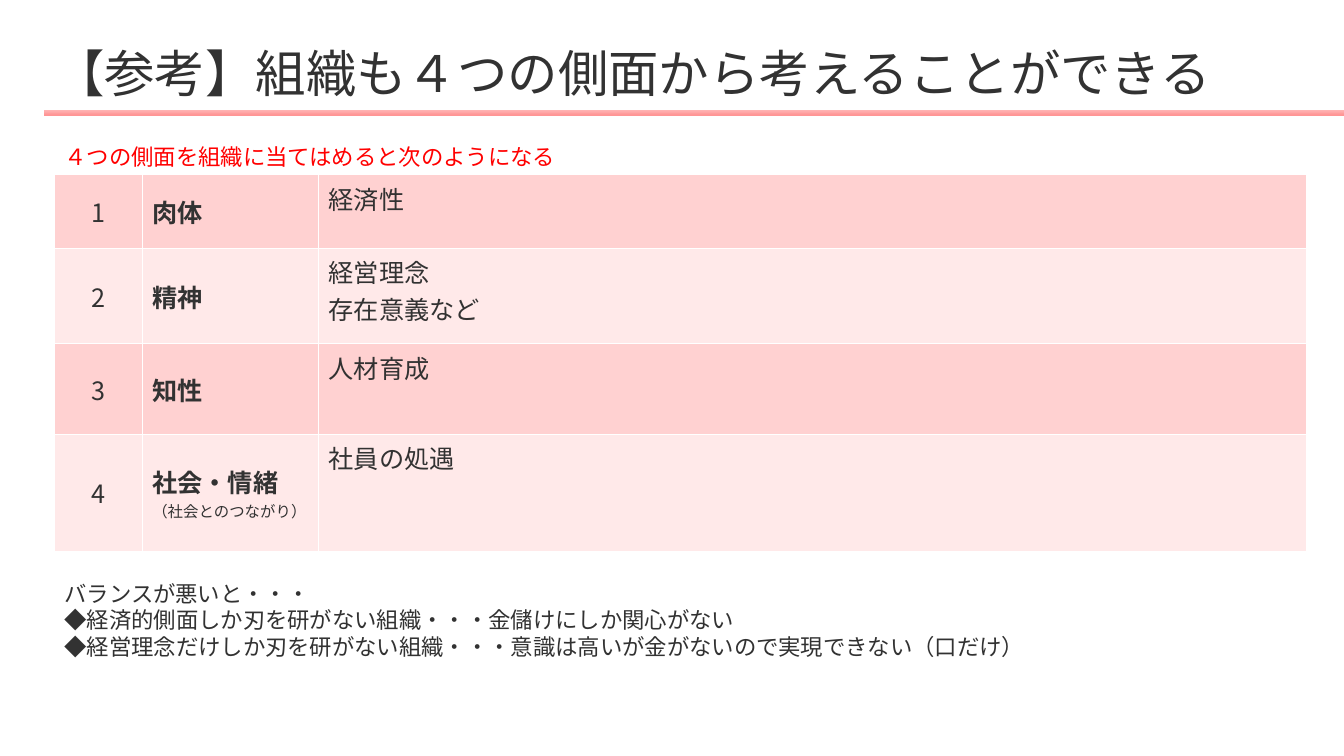
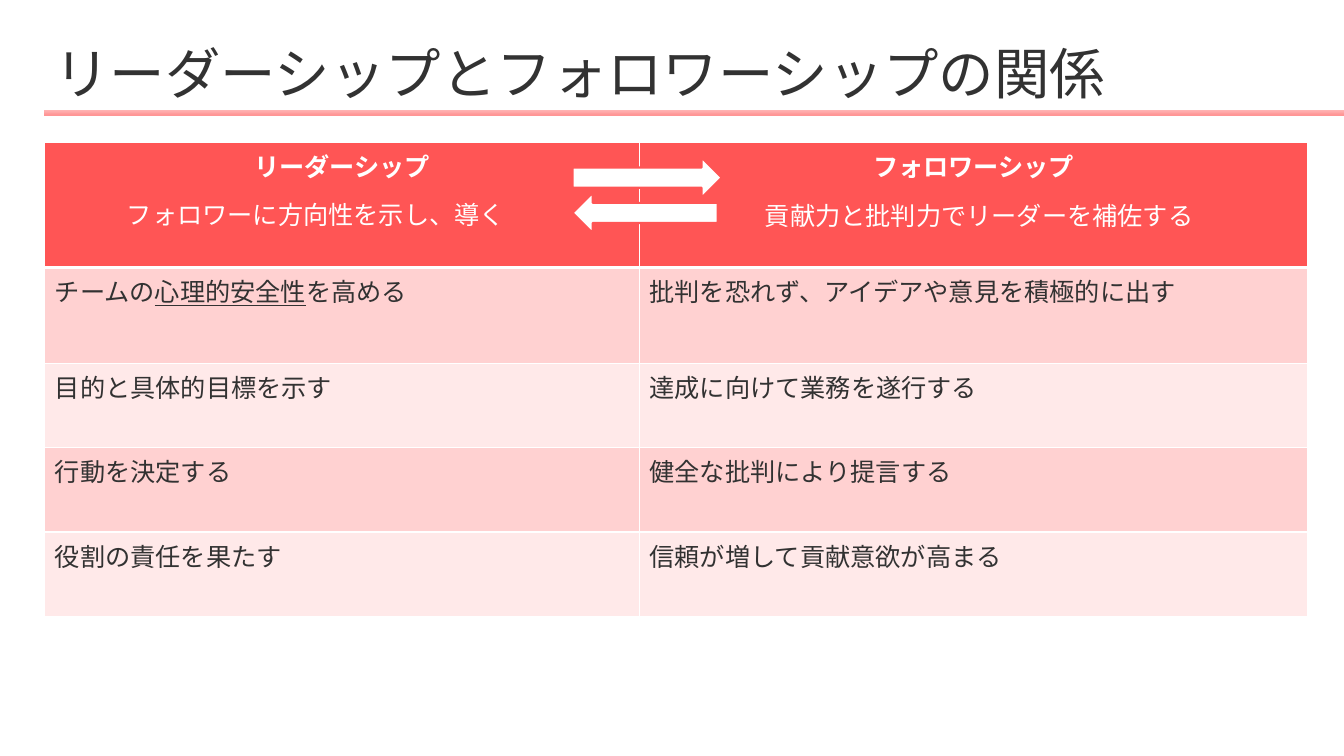
from lxml.etree import SubElement
from pptx import Presentation
from pptx.dml.color import RGBColor
from pptx.enum.lang import MSO_LANGUAGE_ID
from pptx.enum.shapes import MSO_SHAPE
from pptx.enum.text import MSO_ANCHOR, MSO_AUTO_SIZE, PP_ALIGN
from pptx.oxml.ns import qn
from pptx.util import Pt

FONT = "Noto Sans CJK JP"
INK = RGBColor(0x32, 0x32, 0x32)
WHITE = RGBColor(0xFF, 0xFF, 0xFF)
NOTE_RED = RGBColor(0xFF, 0x00, 0x00)
ACCENT = RGBColor(0xFF, 0x55, 0x55)
BANDS = [RGBColor(0xFF, 0xD1, 0xD1), RGBColor(0xFF, 0xE9, 0xE9)]
RULE_TOP = RGBColor(0xFF, 0xB4, 0xB4)
RULE_BOTTOM = RGBColor(0xFF, 0x95, 0x95)

PAGE_WIDTH, PAGE_HEIGHT = 960, 540
MARGIN = 31.5
BODY_SIZE = 18
NOTE_SIZE = 16
TIGHT_LINE = 1.18  # line pitch of free text, in text sizes

# Content: a paragraph is a string or a list of (text, format) spans
ASPECTS_TITLE = "【参考】組織も４つの側面から考えることができる"
ASPECTS_LEAD = ["４つの側面を組織に当てはめると次のようになる"]
ASPECTS = [
    (["肉体"], ["経済性"]),
    (["精神"], ["経営理念", "存在意義など"]),
    (["知性"], ["人材育成"]),
    (["社会・情緒", [("（社会とのつながり）", {"size": 11, "bold": False})]],
     ["社員の処遇"]),
]
BALANCE_NOTES = [
    "バランスが悪いと・・・",
    "◆経済的側面しか刃を研がない組織・・・金儲けにしか関心がない",
    "◆経営理念だけしか刃を研がない組織・・・意識は高いが金がないので実現できない（口だけ）",
]

SHIP_TITLE = "リーダーシップとフォロワーシップの関係"
SHIP_HEADS = ["リーダーシップ", "フォロワーシップ"]
SHIP_ROWS = [
    ([("チームの", {}), ("心理的安全性", {"underline": True}), ("を高める", {})],
     "批判を恐れず、アイデアや意見を積極的に出す"),
    ("目的と具体的目標を示す", "達成に向けて業務を遂行する"),
    ("行動を決定する", "健全な批判により提言する"),
    ("役割の責任を果たす", "信頼が増して貢献意欲が高まる"),
]
SHIP_ROLES = [  # text, left, top, width
    ("フォロワーに方向性を示し、導く", 83.5, 139, 394),
    ("貢献力と批判力でリーダーを補佐する", 539.3, 140, 364),
]
SHIP_ARROWS = [  # shape, top, width
    (MSO_SHAPE.RIGHT_ARROW, 112.5, 106.5),
    (MSO_SHAPE.LEFT_ARROW, 137.7, 103.7),
]


def write_text(frame, paragraphs, size=BODY_SIZE, color=INK, bold=False,
               align=PP_ALIGN.LEFT, spacing=None):
    for index, content in enumerate(paragraphs):
        para = frame.add_paragraph() if index else frame.paragraphs[0]
        para.alignment = align
        if spacing:
            para.line_spacing = spacing
        spans = [(content, {})] if isinstance(content, str) else content
        for text, changes in spans:
            span = para.add_run()
            span.text = text
            font = span.font
            font.name = FONT
            font.language_id = MSO_LANGUAGE_ID.JAPANESE
            font.size = Pt(changes.get("size", size))
            font.bold = changes.get("bold", bold)
            font.underline = changes.get("underline")
            font.color.rgb = color
            # East Asian typeface
            SubElement(font._element, qn("a:ea"), typeface=FONT)


def add_note(page, paragraphs, left, top, width, size, color):
    pitch = size * TIGHT_LINE
    height = pitch * len(paragraphs) + 7.2
    box = page.shapes.add_textbox(Pt(left), Pt(top), Pt(width), Pt(height))
    box.text_frame.word_wrap = True
    write_text(box.text_frame, paragraphs, size=size, color=color,
               spacing=Pt(pitch))


def add_page(deck, title, title_size):
    page = deck.slides.add_slide(deck.slide_layouts[5])
    # Rule under the title
    rule = page.shapes.add_shape(MSO_SHAPE.RECTANGLE, Pt(MARGIN), Pt(78.6),
                                 Pt(PAGE_WIDTH - MARGIN), Pt(3.6))
    rule.shadow.inherit = False
    rule.line.fill.background()
    rule.fill.gradient()
    rule.fill.gradient_angle = 270
    for stop, color in zip(rule.fill.gradient_stops, (RULE_TOP, RULE_BOTTOM)):
        stop.color.rgb = color
    # Title
    box = page.shapes.title
    box.left, box.top = Pt(MARGIN), Pt(28)
    box.width, box.height = Pt(902), Pt(52.6)
    box.text_frame.auto_size = MSO_AUTO_SIZE.NONE
    box.text_frame.vertical_anchor = MSO_ANCHOR.MIDDLE
    write_text(box.text_frame, [title], size=title_size, spacing=0.9)
    return page


def add_grid(page, left, top, widths, heights):
    frame = page.shapes.add_table(len(heights), len(widths), Pt(left), Pt(top),
                                  Pt(sum(widths)), Pt(sum(heights)))
    table = frame.table
    table.first_row = table.horz_banding = False
    for column, width in zip(table.columns, widths):
        column.width = Pt(width)
    for row, height in zip(table.rows, heights):
        row.height = Pt(height)
    return table


def fill_cell(cell, paragraphs, fill, anchor=MSO_ANCHOR.TOP, top_line=1,
              bottom_line=1, **text_format):
    cell.vertical_anchor = anchor
    props = cell._tc.get_or_add_tcPr()
    for side, width in (("L", 1), ("R", 1), ("T", top_line), ("B", bottom_line)):
        line = SubElement(props, qn(f"a:ln{side}"), w=str(Pt(width)))
        solid = SubElement(line, qn("a:solidFill"))
        SubElement(solid, qn("a:srgbClr"), val=str(WHITE))
    cell.fill.solid()
    cell.fill.fore_color.rgb = fill
    write_text(cell.text_frame, paragraphs, **text_format)


def build_aspects(deck):
    page = add_page(deck, ASPECTS_TITLE, 36)
    left = 39
    table = add_grid(page, left, 124.8, [62.6, 126, 706],
                     [52.6, 68.2, 64.8, 83.4])
    for index, (aspect, meaning) in enumerate(ASPECTS):
        fill = BANDS[index % 2]
        number, name, detail = table.rows[index].cells
        fill_cell(number, [str(index + 1)], fill, anchor=MSO_ANCHOR.MIDDLE,
                  align=PP_ALIGN.CENTER)
        fill_cell(name, aspect, fill, anchor=MSO_ANCHOR.MIDDLE, bold=True)
        fill_cell(detail, meaning, fill)
    add_note(page, ASPECTS_LEAD, left, 99, 508, NOTE_SIZE, NOTE_RED)
    add_note(page, BALANCE_NOTES, left, 411, 738, NOTE_SIZE, INK)


def build_ships(deck):
    page = add_page(deck, SHIP_TITLE, 39.6)
    table = add_grid(page, 32, 101.8, [424.8, 477.2],
                     [89.2, 68.4] + [60.3] * 3)
    for cell, head in zip(table.rows[0].cells, SHIP_HEADS):
        fill_cell(cell, [head], ACCENT, bottom_line=3, color=WHITE, bold=True,
                  align=PP_ALIGN.CENTER)
    for index, texts in enumerate(SHIP_ROWS):
        for cell, text in zip(table.rows[index + 1].cells, texts):
            fill_cell(cell, [text], BANDS[index % 2],
                      top_line=1 if index else 3)
    # Roles and the arrows between them
    for text, left, top, width in SHIP_ROLES:
        add_note(page, [text], left, top, width, BODY_SIZE, WHITE)
    for kind, top, width in SHIP_ARROWS:
        arrow = page.shapes.add_shape(kind, Pt(409), Pt(top), Pt(width), Pt(28.8))
        arrow.shadow.inherit = False
        arrow.fill.solid()
        arrow.fill.fore_color.rgb = WHITE
        arrow.line.color.rgb = ACCENT
        arrow.line.width = Pt(1.5)


def main():
    deck = Presentation()
    deck.slide_width, deck.slide_height = Pt(PAGE_WIDTH), Pt(PAGE_HEIGHT)
    build_aspects(deck)
    build_ships(deck)
    deck.save("out.pptx")


if __name__ == "__main__":
    main()
